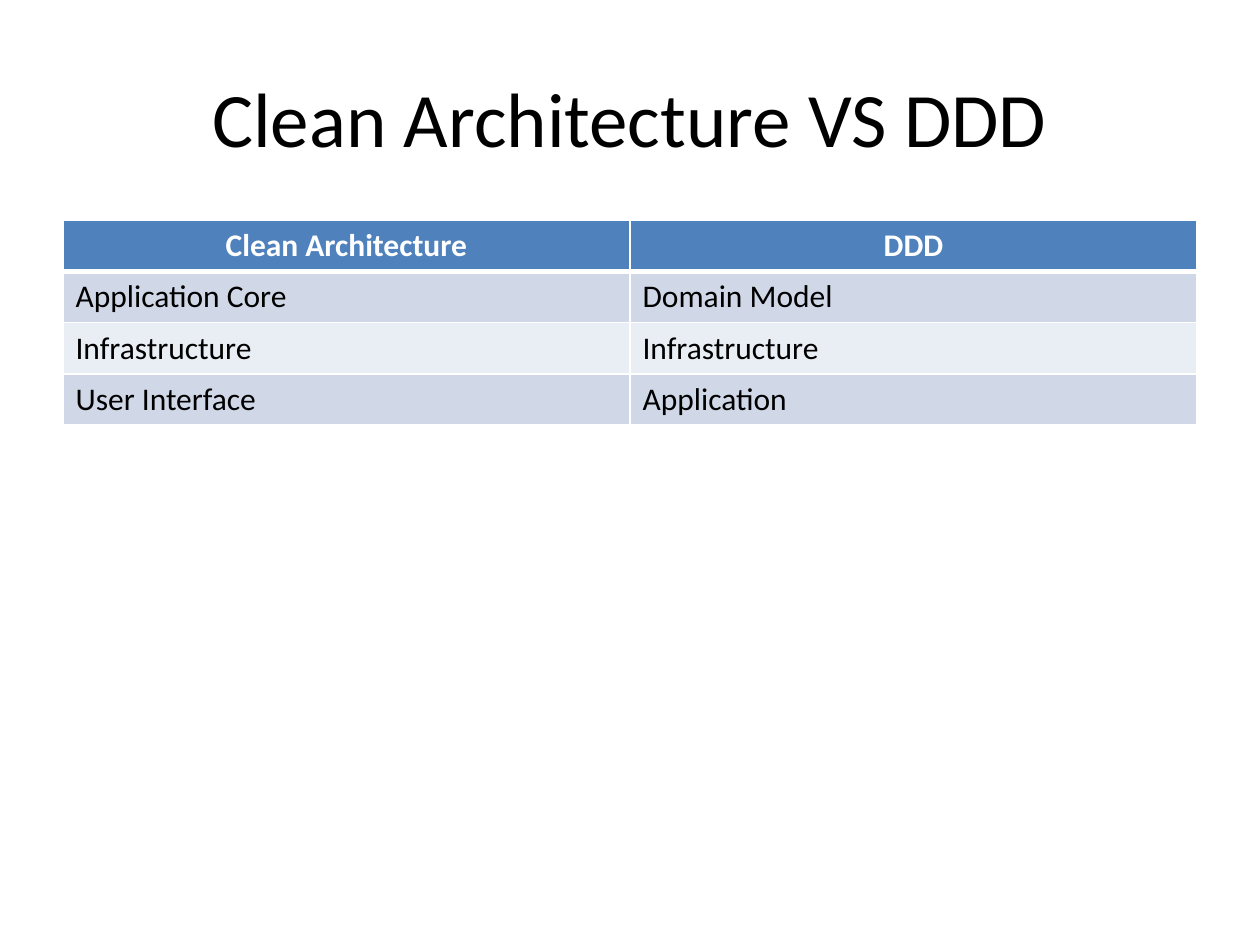
from dataclasses import dataclass

from lxml.etree import SubElement
from pptx import Presentation
from pptx.dml.color import RGBColor as RGB
from pptx.enum.text import MSO_ANCHOR as Anchor, PP_ALIGN as Align
from pptx.oxml.ns import qn
from pptx.util import Pt


@dataclass(frozen=True)
class Theme:
    font: str = "Calibri"
    title_size: int = 44
    table_size: int = 18
    ink: str = "000000"
    paper: str = "FFFFFF"
    header: str = "4F81BD"
    bands: tuple = ("D0D8E8", "E9EDF4")
    rule: int = 1
    header_rule: int = 3


LAYERS = [
    ("Clean Architecture", "DDD"),
    ("Application Core", "Domain Model"),
    ("Infrastructure", "Infrastructure"),
    ("User Interface", "Application"),
]


def write(frame, text, *, font, size, color, bold=False, align=Align.LEFT):
    paragraph = frame.paragraphs[0]
    paragraph.alignment = align
    run = paragraph.add_run()
    run.text = text
    run.font.name = font
    run.font.size = Pt(size)
    run.font.bold = bold
    run.font.color.rgb = RGB.from_string(color)


def set_borders(cell, color, **widths):
    """Draw the cell's sides, given as L, R, T, B; call before filling the cell."""
    properties = cell._tc.get_or_add_tcPr()
    for side, width in widths.items():
        line = SubElement(properties, qn(f"a:ln{side}"), w=str(Pt(width)))
        fill = SubElement(line, qn("a:solidFill"))
        SubElement(fill, qn("a:srgbClr"), val=color)


class SlideBuilder:
    def __init__(self, slide, theme):
        self.slide = slide
        self.theme = theme

    def title(self, text, left, top, width, height):
        box = self.slide.shapes.add_textbox(Pt(left), Pt(top), Pt(width), Pt(height))
        frame = box.text_frame
        frame.word_wrap = True
        frame.vertical_anchor = Anchor.MIDDLE
        write(frame, text, font=self.theme.font, size=self.theme.title_size,
              color=self.theme.ink, align=Align.CENTER)

    def table(self, rows, left, top, width, row_height):
        """Add a table with a header row and banded rows below it."""
        table = self.slide.shapes.add_table(
            len(rows), len(rows[0]), Pt(left), Pt(top),
            Pt(width), Pt(row_height * len(rows))).table
        for row in table.rows:
            row.height = Pt(row_height)
        for r, texts in enumerate(rows):
            for c, text in enumerate(texts):
                self.cell(table.cell(r, c), text, r)

    def cell(self, cell, text, row):
        theme = self.theme
        is_header = row == 0
        set_borders(cell, theme.paper, L=theme.rule, R=theme.rule,
                    T=theme.header_rule if row == 1 else theme.rule,
                    B=theme.header_rule if is_header else theme.rule)
        band = theme.bands[(row - 1) % len(theme.bands)]
        cell.fill.solid()
        cell.fill.fore_color.rgb = RGB.from_string(theme.header if is_header else band)
        write(cell.text_frame, text, font=theme.font, size=theme.table_size,
              color=theme.paper if is_header else theme.ink, bold=is_header,
              align=Align.CENTER if is_header else Align.LEFT)


def main():
    deck = Presentation()
    deck.slide_width, deck.slide_height = Pt(720), Pt(540)
    comparison = SlideBuilder(deck.slides.add_slide(deck.slide_layouts[6]), Theme())
    comparison.title("Clean Architecture VS DDD", 36, 21.6, 648, 90)
    comparison.table(LAYERS, 36, 126, 648, 29.2)
    deck.save("out.pptx")


if __name__ == "__main__":
    main()
